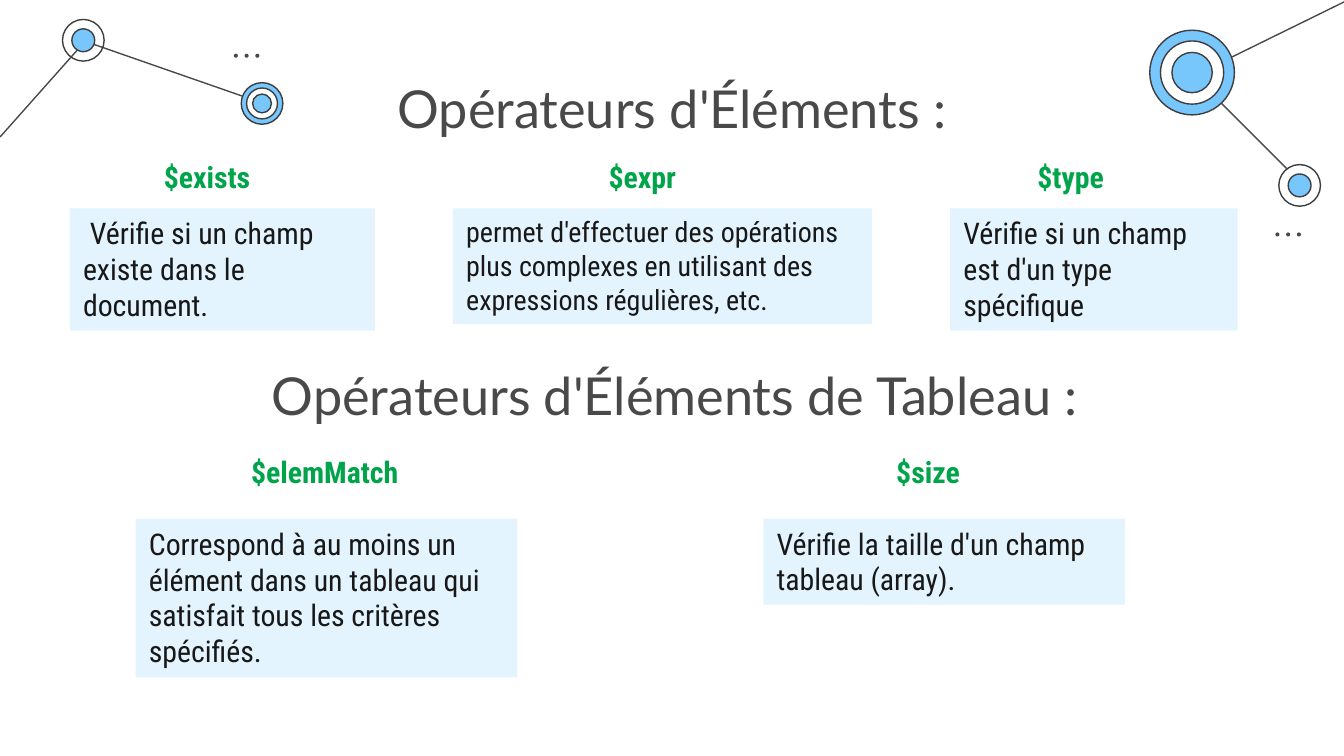
from lxml.etree import SubElement
from pptx import Presentation
from pptx.dml.color import RGBColor
from pptx.enum.shapes import MSO_CONNECTOR, MSO_SHAPE
from pptx.enum.text import MSO_ANCHOR, MSO_AUTO_SIZE, PP_ALIGN
from pptx.oxml.ns import qn
from pptx.util import Inches, Pt

WHITE = RGBColor(0xFF, 0xFF, 0xFF)
GRAY = RGBColor(0x49, 0x49, 0x49)
OUTLINE = RGBColor(0x3D, 0x3D, 0x3D)
BLUE = RGBColor(0x77, 0xC6, 0xFC)
PALE_BLUE = RGBColor(0xE4, 0xF4, 0xFE)
GREEN = RGBColor(0x00, 0xA4, 0x4A)
INK = RGBColor(0x18, 0x18, 0x18)

HEADING_FONT = "Lato"
BODY_FONT = "Roboto Condensed"

LINKS = [
    (9.67, 1.35, 8.87, 0.55),
    (0.64, 0.31, 1.96, 0.77),
    (0, 1.02, 0.64, 0.3),
    (10.01, 0.01, 8.91, 0.55),
]
NODES = [
    (0.62, 0.3, [(0.31, None), (0.17, BLUE)]),
    (1.95, 0.77, [(0.31, BLUE), (0.23, WHITE), (0.14, BLUE)]),
    (8.87, 0.54, [(0.63, BLUE), (0.47, WHITE), (0.3, BLUE)]),
    (9.67, 1.38, [(0.31, WHITE), (0.17, BLUE)]),
]
DOT_ROWS = [(1.74, 0.4), (9.49, 1.73)]
OPERATORS = [
    ("$exists", 1.12, 1.13, 1.95),
    ("$expr", 4.43, 1.13, 1.95),
    ("$type", 7.62, 1.13, 1.59),
    ("$elemMatch", 1.77, 3.33, 1.95),
    ("$size", 6.57, 3.33, 1.95),
]
DESCRIPTIONS = [
    ("Vérifie si un champ existe dans le document.", 0.52, 1.55, 2.27, 0.91, 16, 0.05),
    ("permet d'effectuer des opérations plus complexes en utilisant des "
     "expressions régulières, etc.", 3.37, 1.55, 3.12, 0.86, 15, 0),
    ("Vérifie si un champ est d'un type spécifique", 7.07, 1.55, 2.14, 0.91, 16, 0),
    ("Correspond à au moins un élément dans un tableau qui satisfait tous les "
     "critères spécifiés.", 1.01, 3.86, 2.84, 1.18, 16, 0),
    ("Vérifie la taille d'un champ tableau (array).", 5.68, 3.86, 2.69, 0.64, 16, 0),
]


def write_text(shape, text, font, size, color, bold=False, align=PP_ALIGN.LEFT):
    """Fill a shape with one top-anchored paragraph and return the paragraph."""
    frame = shape.text_frame
    frame.text = text
    frame.word_wrap = True
    frame.auto_size = MSO_AUTO_SIZE.NONE
    frame.vertical_anchor = MSO_ANCHOR.TOP
    paragraph = frame.paragraphs[0]
    paragraph.alignment = align
    paragraph.font.name = font
    paragraph.font.size = Pt(size)
    paragraph.font.bold = bold
    paragraph.font.color.rgb = color
    return paragraph


def format_heading(shape, text):
    """Write a large centred heading with even insets."""
    write_text(shape, text, HEADING_FONT, 28, GRAY, align=PP_ALIGN.CENTER)
    shape.text_frame.margin_top = shape.text_frame.margin_bottom = Inches(0.1)


def add_link(slide, start_x, start_y, end_x, end_y):
    """Draw a thin line between two points."""
    link = slide.shapes.add_connector(
        MSO_CONNECTOR.STRAIGHT,
        Inches(start_x), Inches(start_y), Inches(end_x), Inches(end_y),
    )
    link.line.color.rgb = GRAY
    link.line.width = Pt(0.75)
    SubElement(link._element.spPr, qn("a:effectLst"))


def add_flat_shape(slide, kind, left, top, width, height, fill, outline=None):
    """Add a shadowless shape with an optional fill and outline."""
    shape = slide.shapes.add_shape(
        kind, Inches(left), Inches(top), Inches(width), Inches(height)
    )
    shape.shadow.inherit = False
    if fill is None:
        shape.fill.background()
    else:
        shape.fill.solid()
        shape.fill.fore_color.rgb = fill
    if outline is None:
        shape.line.fill.background()
    else:
        shape.line.color.rgb = outline
        shape.line.width = Pt(0.75)
    return shape


def add_node(slide, center_x, center_y, rings):
    """Draw concentric circles around one centre."""
    for diameter, fill in rings:
        add_flat_shape(
            slide, MSO_SHAPE.OVAL, center_x - diameter / 2, center_y - diameter / 2,
            diameter, diameter, fill, OUTLINE,
        )


def add_dots(slide, left, top):
    """Draw a row of three small dots."""
    for index in range(3):
        add_flat_shape(
            slide, MSO_SHAPE.OVAL, left + index * 0.08, top, 0.03, 0.03, GRAY
        )


def add_operator(slide, name, left, top, width):
    """Add the green name of an operator."""
    label = slide.shapes.add_textbox(
        Inches(left), Inches(top), Inches(width), Inches(0.37)
    )
    write_text(label, name, BODY_FONT, 16, GREEN, bold=True)


def add_description(slide, text, left, top, width, height, size, indent):
    """Add a pale box that explains an operator."""
    box = add_flat_shape(
        slide, MSO_SHAPE.RECTANGLE, left, top, width, height, PALE_BLUE
    )
    paragraph = write_text(box, text, BODY_FONT, size, INK)
    if indent:
        paragraph._p.get_or_add_pPr().set("indent", str(Inches(indent)))


def main():
    """Build the slide and save it."""
    presentation = Presentation()
    presentation.slide_width = Inches(10)
    presentation.slide_height = Inches(10 * 9 / 16)
    slide = presentation.slides.add_slide(presentation.slide_layouts[5])
    for link in LINKS:
        add_link(slide, *link)
    for node in NODES:
        add_node(slide, *node)
    for row in DOT_ROWS:
        add_dots(slide, *row)

    title = slide.shapes.title
    title.left, title.top = Inches(0.79), Inches(0.47)
    title.width, title.height = Inches(8.42), Inches(0.63)
    format_heading(title, "Opérateurs d'Éléments :")
    array_heading = slide.shapes.add_textbox(
        Inches(0.81), Inches(2.6), Inches(8.42), Inches(0.63)
    )
    format_heading(array_heading, "Opérateurs d'Éléments de Tableau :")

    for operator in OPERATORS:
        add_operator(slide, *operator)
    for description in DESCRIPTIONS:
        add_description(slide, *description)
    presentation.save("out.pptx")


if __name__ == "__main__":
    main()
